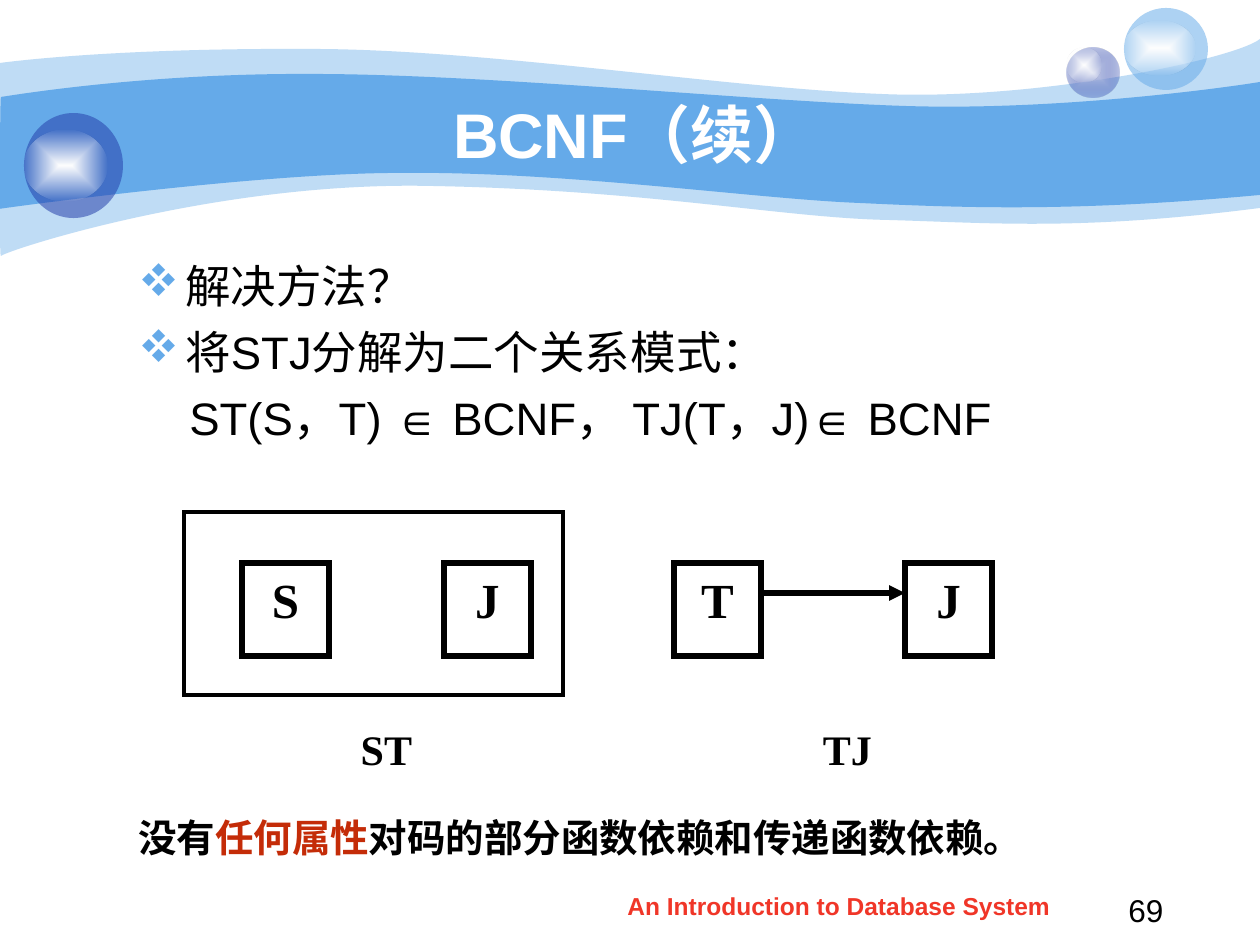
from lxml import etree
from pptx import Presentation
from pptx.dml.color import RGBColor
from pptx.enum.shapes import MSO_CONNECTOR as Connector, MSO_SHAPE as Shape
from pptx.enum.text import MSO_ANCHOR as Anchor, PP_ALIGN as Align
from pptx.oxml import parse_xml
from pptx.oxml.ns import nsdecls, qn
from pptx.util import Emu, Pt

SCALE = 914400 / 126
COLORS = {
    "sky": "65AAE9",
    "navy": "233DA9",
    "mist": "C7CEE9",
    "white": "FFFFFF",
    "black": "000000",
    "footer": "F03628",
    "accent": "C42C08",
}
OUTER_WAVE = [
    [(0, 63)],
    [(30, 59), (135, 48), (311, 49)],
    [(486, 49), (725, 88), (881, 94)],
    [(1036, 101), (1235, 59), (1260, 39)],
    [(1260, 208)],
    [(1081, 231), (992, 223), (888, 220)],
    [(784, 218), (649, 190), (432, 186)],
    [(217, 181), (5, 251), (1, 256)],
    [(-1, 262), (0, 94), (0, 63)],
]
INNER_WAVE = [
    [(1, 97)],
    [(3, 97), (139, 73), (312, 74)],
    [(486, 74), (750, 101), (905, 106)],
    [(1060, 111), (1230, 87), (1260, 82)],
    [(1260, 195)],
    [(1075, 212), (964, 208), (859, 203)],
    [(755, 199), (563, 171), (399, 173)],
    [(256, 173), (-3, 209), (-1, 209)],
    [(0, 209), (0, 97), (1, 97)],
]


def px(length):
    return Emu(round(length * SCALE))


def rgb(name):
    return RGBColor.from_string(COLORS[name])


def set_fill(shape, color, alpha=100):
    shape.shadow.inherit = False
    shape.line.fill.background()
    shape.fill.solid()
    shape.fill.fore_color.rgb = rgb(color)
    if alpha < 100:
        tint = shape.fill._xPr.find(qn("a:solidFill"))[0]
        etree.SubElement(tint, qn("a:alpha")).set("val", str(alpha * 1000))


def set_glow(shape, center, edge, edge_alpha):
    set_fill(shape, edge)
    solid = shape.fill._xPr.find(qn("a:solidFill"))
    gradient = parse_xml(
        f'<a:gradFill {nsdecls("a")} rotWithShape="1"><a:gsLst>'
        f'<a:gs pos="0"><a:srgbClr val="{COLORS[center]}"/></a:gs>'
        f'<a:gs pos="100000"><a:srgbClr val="{COLORS[edge]}">'
        f'<a:alpha val="{edge_alpha * 1000}"/></a:srgbClr></a:gs></a:gsLst>'
        '<a:path path="rect"><a:fillToRect l="50000" t="50000" r="50000" b="50000"/>'
        "</a:path></a:gradFill>"
    )
    solid.getparent().replace(solid, gradient)


def bend(shape, segments):
    outline = shape._element.spPr.find(".//" + qn("a:path"))
    lines = iter(outline.findall(qn("a:lnTo")))
    for segment in segments:
        steps = [next(lines) for _ in segment]
        if len(steps) == 3:
            curve = etree.Element(qn("a:cubicBezTo"))
            steps[0].addprevious(curve)
            for step in steps:
                curve.append(step[0])
                outline.remove(step)


def add_wave(slide, segments, alpha=100):
    points = [(px(x), px(y)) for segment in segments for x, y in segment]
    builder = slide.shapes.build_freeform(*points[0], scale=1.0)
    builder.add_line_segments(points[1:], close=True)
    wave = builder.convert_to_shape()
    bend(wave, segments[1:])
    set_fill(wave, "sky", alpha)


def add_oval(slide, *frame):
    return slide.shapes.add_shape(Shape.OVAL, *map(px, frame))


def add_highlight(slide, *frame):
    set_glow(add_oval(slide, *frame), "white", "white", 0)


def style(para, size, color="black", bold=False, font="Arial", align=Align.LEFT):
    para.alignment = align
    para.font.name = font
    para.font.size = Pt(size)
    para.font.bold = bold
    para.font.color.rgb = rgb(color)


def add_text(slide, frame, text, size, anchor=Anchor.TOP, **look):
    box = slide.shapes.add_textbox(*map(px, frame))
    box.text_frame.word_wrap = True
    box.text_frame.vertical_anchor = anchor
    para = box.text_frame.paragraphs[0]
    para.text = text
    style(para, size, **look)
    return box.text_frame


def set_indent(para, margin, bullet=None):
    props = para._p.get_or_add_pPr()
    props.set("marL", str(px(margin)))
    props.set("indent", str(-px(margin) if bullet else 0))
    if bullet:
        color = etree.SubElement(props, qn("a:buClr"))
        etree.SubElement(color, qn("a:srgbClr")).set("val", COLORS["sky"])
        etree.SubElement(props, qn("a:buFont")).set("typeface", "Wingdings")
        etree.SubElement(props, qn("a:buChar")).set("char", bullet)


def add_body(slide):
    frame = add_text(slide, (126, 252, 1071, 638), "解决方法？", 26)
    set_indent(frame.paragraphs[0], 47, "v")
    for text, margin, bullet, gap, size, bold in (
        ("将STJ分解为二个关系模式：", 47, "v", 6.5, 26, False),
        ("ST(S，T) ∈ BCNF， TJ(T，J)∈ BCNF", 51, None, 6.5, 26, False),
        ("没有", 0, None, 211, 22, True),
    ):
        para = frame.add_paragraph()
        para.text = text
        set_indent(para, margin, bullet)
        para.space_before = Pt(gap)
        style(para, size, bold=bold)
    accent = para.add_run()
    accent.text = "任何属性"
    accent.font.color.rgb = rgb("accent")
    para.add_run().text = "对码的部分函数依赖和传递函数依赖。"


def add_box(slide, frame, weight, text=""):
    box = slide.shapes.add_shape(Shape.RECTANGLE, *map(px, frame))
    box.shadow.inherit = False
    box.fill.background()
    box.line.color.rgb = rgb("black")
    box.line.width = Pt(weight)
    etree.SubElement(box.line._get_or_add_ln(), qn("a:miter")).set("lim", "800000")
    if text:
        box.text_frame.vertical_anchor = Anchor.TOP
        para = box.text_frame.paragraphs[0]
        para.text = text
        style(para, 28, bold=True, font="Times New Roman", align=Align.CENTER)


def add_arrow(slide, start, end, y):
    arrow = slide.shapes.add_connector(Connector.STRAIGHT, px(start), px(y), px(end), px(y))
    arrow.line.color.rgb = rgb("black")
    arrow.line.width = Pt(3)
    etree.SubElement(arrow.line._get_or_add_ln(), qn("a:tailEnd")).set("type", "triangle")
    etree.SubElement(arrow._element.spPr, qn("a:effectLst"))


def add_diagram(slide):
    for left, name in ((242, "S"), (444, "J"), (674, "T"), (905, "J")):
        add_box(slide, (left, 563, 87, 93), 3, name)
    add_arrow(slide, 761, 905, 593)
    for left, name in ((329, "ST"), (790, "TJ")):
        add_text(slide, (left, 717, 115, 93), name, 24, bold=True,
                 font="Times New Roman", align=Align.CENTER)
    add_box(slide, (184, 512, 379, 183), 2.25)


def add_backdrop(slide):
    add_wave(slide, OUTER_WAVE, 41)
    add_wave(slide, INNER_WAVE)
    set_glow(add_oval(slide, 1067, 48, 53, 50), "mist", "navy", 31)
    add_highlight(slide, 1067, 48, 35, 34)
    set_fill(add_oval(slide, 1124, 8, 84, 82), "sky", 53)
    add_highlight(slide, 1124, 21, 71, 54)
    set_fill(add_oval(slide, 24, 113, 99, 105), "navy", 53)
    add_highlight(slide, 24, 130, 83, 71)


def main():
    deck = Presentation()
    deck.slide_width, deck.slide_height = px(1260), px(945)
    slide = deck.slides.add_slide(deck.slide_layouts[6])
    add_backdrop(slide)
    number = add_text(slide, (1116, 889, 100, 47), "69", 18)
    number.paragraphs[0].line_spacing = 0.9
    add_text(slide, (591, 885, 496, 44), "An Introduction to Database System", 14,
             color="footer", bold=True, align=Align.CENTER)
    add_text(slide, (126, 94, 1018, 78), "BCNF（续）", 36, Anchor.MIDDLE,
             color="white", bold=True, align=Align.CENTER)
    add_body(slide)
    add_diagram(slide)
    deck.save("out.pptx")


if __name__ == "__main__":
    main()
